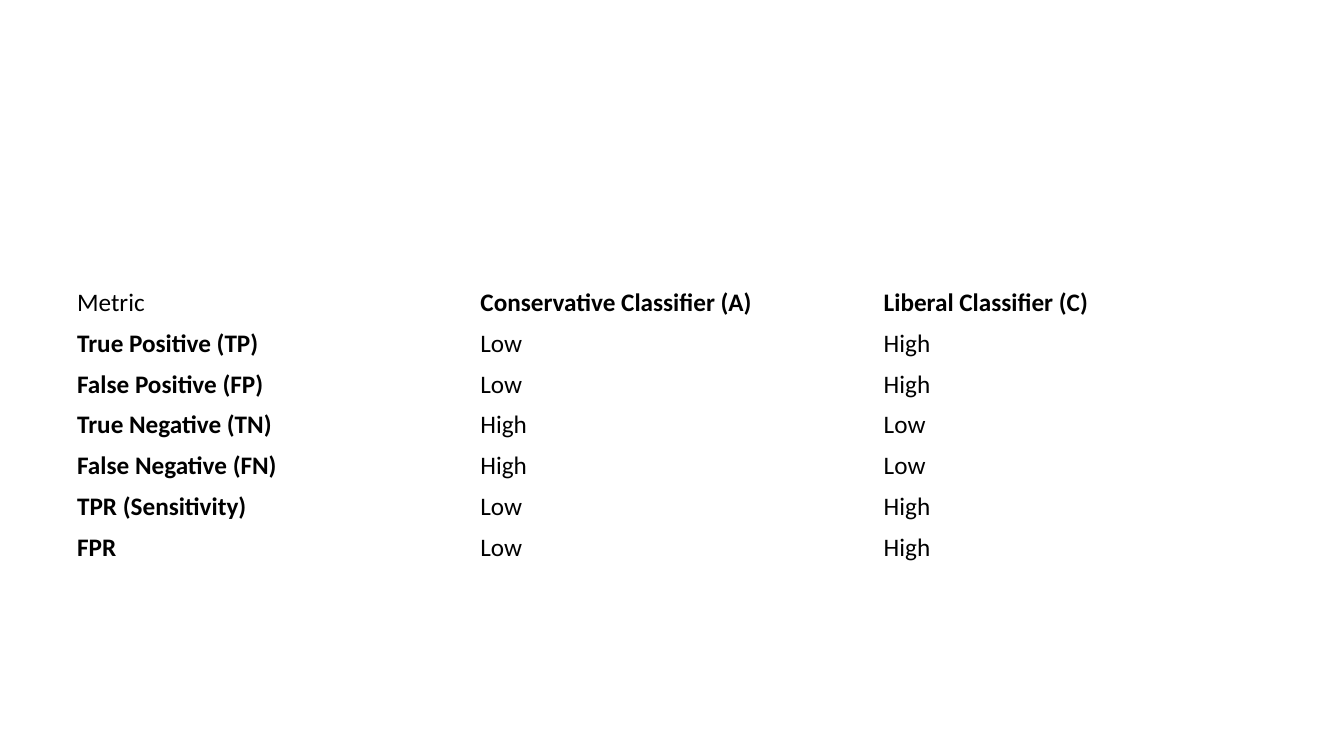
"""Build a slide with a table comparing a conservative and a liberal classifier."""
from pptx import Presentation
from pptx.dml.color import RGBColor
from pptx.enum.text import MSO_ANCHOR
from pptx.util import Inches, Pt

MIDDLE = MSO_ANCHOR.MIDDLE
FONT = "Calibri"
COL_W, ROW_H = 4, 0.4
ROWS = [
    ("Metric", "Conservative Classifier (A)", "Liberal Classifier (C)"),
    ("True Positive (TP)", "Low", "High"),
    ("False Positive (FP)", "Low", "High"),
    ("True Negative (TN)", "High", "Low"),
    ("False Negative (FN)", "High", "Low"),
    ("TPR (Sensitivity)", "Low", "High"),
    ("FPR", "Low", "High"),
]


def color(value):
    """Turn a hex string into a colour."""
    return RGBColor.from_string(value)


prs = Presentation()
prs.slide_width, prs.slide_height = Inches(13.33), Inches(7.5)
s = prs.slides.add_slide(prs.slide_layouts[6])
s.background.fill.solid()
s.background.fill.fore_color.rgb = color("FFFFFF")

n_rows, n_cols = len(ROWS), len(ROWS[0])
width, height = Inches(n_cols * COL_W), Inches(n_rows * ROW_H)
left = (prs.slide_width - width) // 2
table = s.shapes.add_table(n_rows, n_cols, left, Inches(2.8), width, height).table
table.first_row = False
table.horz_banding = False

for i, row in enumerate(ROWS):
    for j, text in enumerate(row):
        cell = table.cell(i, j)
        cell.fill.background()
        cell.vertical_anchor = MIDDLE
        r = cell.text_frame.paragraphs[0].add_run()
        r.text = text
        r.font.name = FONT
        r.font.size = Pt(18)
        r.font.bold = (i == 0) != (j == 0)
        r.font.color.rgb = color("000000")

prs.save("out.pptx")
